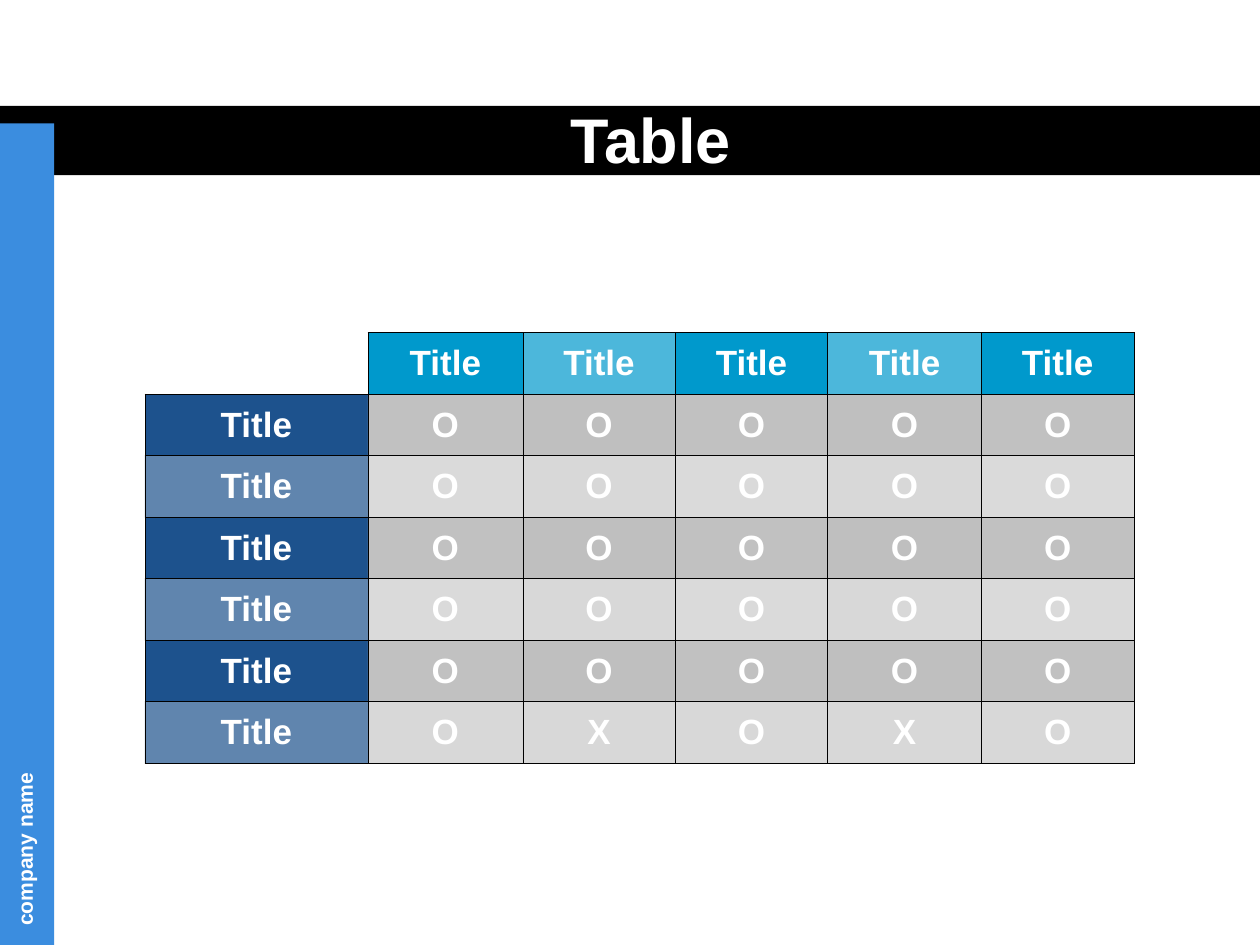
"""Build a slide with a titled comparison table and a side banner."""
import pptx
import pptx.dml.color
import pptx.enum.shapes
import pptx.enum.text
import pptx.oxml.ns
import pptx.util
from lxml import etree

Inches = pptx.util.Inches
RGBColor = pptx.dml.color.RGBColor
qn = pptx.oxml.ns.qn
ALIGN = pptx.enum.text.PP_ALIGN
ANCHOR = pptx.enum.text.MSO_ANCHOR

WHITE = RGBColor(0xFF, 0xFF, 0xFF)
BLACK = RGBColor(0x00, 0x00, 0x00)
BANNER_BLUE = RGBColor(0x3B, 0x8D, 0xDF)
HEADER_BLUE = RGBColor(0x00, 0x99, 0xCC)
ROW_BLUE = RGBColor(0x1D, 0x52, 0x8D)
GRAY = RGBColor(0xB2, 0xB2, 0xB2)

COLUMN_WIDTHS = [1.77, 1.23, 1.21, 1.21, 1.22, 1.21]
TABLE_HEIGHT = 3.42
MARKS = ["OOOOO"] * 5 + ["OXOXO"]


def write_text(frame, text, size, align=ALIGN.LEFT, space_before=0,
               font="Arial", color=WHITE, bold=True):
    paragraph = frame.paragraphs[0]
    paragraph.alignment = align
    paragraph.space_before = pptx.util.Pt(space_before)
    run = paragraph.add_run()
    run.text = text
    run.font.name = font
    run.font.size = pptx.util.Pt(size)
    run.font.bold = bold
    run.font.color.rgb = color


class SlideBuilder:
    def __init__(self, slide, border_color=BLACK, border_width=0.45):
        self.slide = slide
        self.border_color = border_color
        self.border_width = border_width

    def bar(self, left, top, width, height, color):
        shape = self.slide.shapes.add_shape(
            pptx.enum.shapes.MSO_SHAPE.RECTANGLE,
            Inches(left), Inches(top), Inches(width), Inches(height))
        shape.shadow.inherit = False
        shape.fill.solid()
        shape.fill.fore_color.rgb = color
        shape.line.fill.background()

    def text(self, left, top, width, height, text, rotation=0,
             anchor=ANCHOR.TOP, **text_format):
        shape = self.slide.shapes.add_textbox(
            Inches(left), Inches(top), Inches(width), Inches(height))
        shape.rotation = rotation
        shape.text_frame.word_wrap = True
        shape.text_frame.vertical_anchor = anchor
        write_text(shape.text_frame, text, **text_format)

    def borders(self, cell, visible_sides):
        properties = cell._tc.get_or_add_tcPr()
        for side in "LRTB":
            line = etree.SubElement(properties, qn(f"a:ln{side}"))
            if side in visible_sides:
                line.set("w", str(int(pptx.util.Pt(self.border_width))))
                fill = etree.SubElement(line, qn("a:solidFill"))
                etree.SubElement(fill, qn("a:srgbClr"), val=str(self.border_color))
            else:
                etree.SubElement(line, qn("a:noFill"))

    def cell(self, cell, text, color, opacity):
        self.borders(cell, "LRTB")
        cell.fill.solid()
        cell.fill.fore_color.rgb = color
        if opacity < 100:
            fill = cell._tc.tcPr.find(qn("a:solidFill"))
            etree.SubElement(fill[0], qn("a:alpha"), val=str(opacity * 1000))
        cell.vertical_anchor = ANCHOR.MIDDLE
        write_text(cell.text_frame, text, size=20, align=ALIGN.CENTER, space_before=5)

    def table(self, left, top, widths, height, marks):
        row_count = len(marks) + 1
        table = self.slide.shapes.add_table(
            row_count, len(widths), Inches(left), Inches(top),
            Inches(sum(widths)), Inches(height)).table
        table.first_row = table.horz_banding = False
        for column, width in zip(table.columns, widths):
            column.width = Inches(width)
        for row in table.rows:
            row.height = Inches(height / row_count)

        corner = table.cell(0, 0)
        self.borders(corner, "RB")
        corner.fill.background()
        for column in range(1, len(widths)):
            self.cell(table.cell(0, column), "Title", HEADER_BLUE, 100 if column % 2 else 70)
        for row, row_marks in enumerate(marks, start=1):
            dark = row % 2 == 1
            self.cell(table.cell(row, 0), "Title", ROW_BLUE, 100 if dark else 70)
            for column, mark in enumerate(row_marks, start=1):
                opacity = 80 if dark else 48
                if column % 2 == 0 or row == len(marks):
                    opacity += 2
                self.cell(table.cell(row, column), mark, GRAY, opacity)


def main():
    presentation = pptx.Presentation()
    presentation.slide_width = Inches(10)
    presentation.slide_height = Inches(7.5)
    builder = SlideBuilder(presentation.slides.add_slide(presentation.slide_layouts[6]))
    builder.bar(0, 0.84, 10, 0.55, BLACK)
    builder.bar(0, 0.98, 0.43, 6.52, BANNER_BLUE)
    builder.text(-1.52, 5.58, 3.43, 0.3, "company name", rotation=270, size=12)
    builder.text(0.33, 0.83, 9.67, 0.53, "Table", anchor=ANCHOR.MIDDLE,
                 size=36, align=ALIGN.CENTER)
    builder.table(1.15, 2.64, COLUMN_WIDTHS, TABLE_HEIGHT, MARKS)
    presentation.save("out.pptx")


if __name__ == "__main__":
    main()
